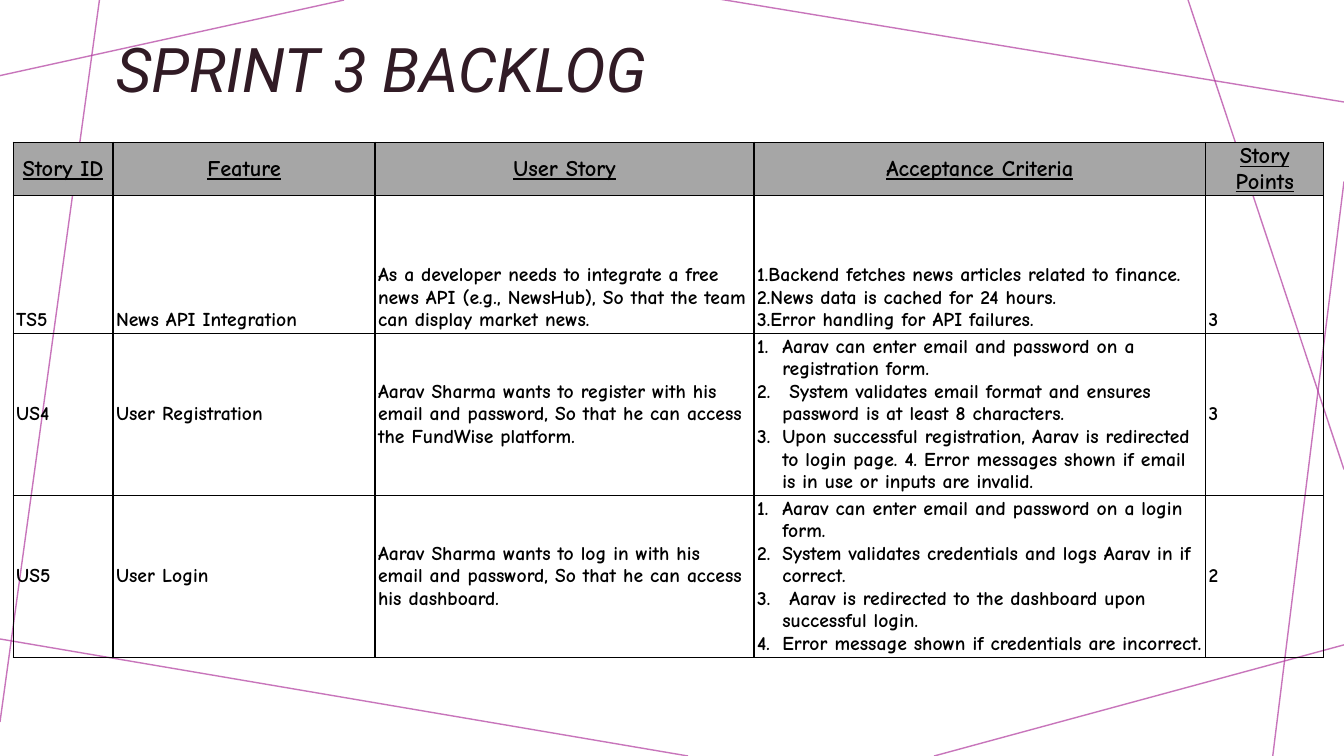
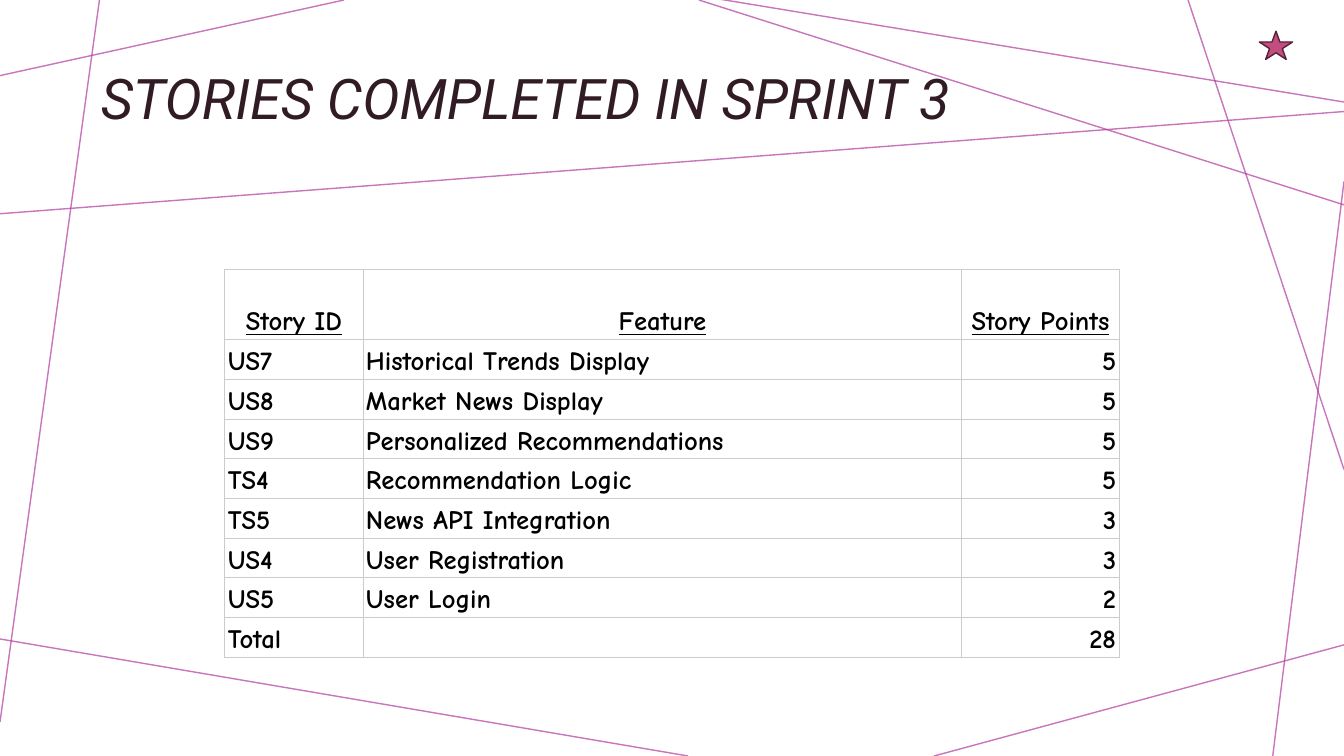
import lxml.etree
import pptx
import pptx.dml.color
import pptx.enum.shapes
import pptx.enum.text
import pptx.oxml
import pptx.oxml.ns
import pptx.util

TITLE_FONT, TABLE_FONT = "Roboto", "Comic Neue"
INK, ACCENT, BLACK = "311B25", "B13B9F", "000000"
A = "{%s}" % pptx.oxml.ns.nsuri("a")
ANCHOR = pptx.enum.text.MSO_ANCHOR
LEFT, CENTER, RIGHT = (pptx.enum.text.PP_ALIGN.LEFT, pptx.enum.text.PP_ALIGN.CENTER,
                       pptx.enum.text.PP_ALIGN.RIGHT)

deck = pptx.Presentation()
deck.slide_width = pptx.util.Inches(13.33)
deck.slide_height = pptx.util.Inches(7.5)
layout = deck.slide_layouts[5]


def share(*percents):
    """Turn alternating x and y percentages of the slide into lengths."""
    sides = (deck.slide_width, deck.slide_height)
    return [round(sides[i % 2] * percent / 100) for i, percent in enumerate(percents)]


def paint(fill, color):
    fill.solid()
    fill.fore_color.rgb = pptx.dml.color.RGBColor.from_string(color)


# Background lines as percentages: from x, from y, to x, to y
shared_lines = [
    (25.6, 0, 0, 10),
    (7.4, 0, 0, 95.5),
    (51.2, 100, -0.4, 84.4),
    (100, 85.3, 69.5, 100),
    (100, 24, 94.7, 100),
    (100, 62.1, 88.4, 0),
    (100, 13.5, 53.6, -0.1),
]
extra_lines = [(52, 0, 100, 27.1), (-0.2, 28.3, 100.4, 14.7)]

# A cell holding a list has one paragraph per item; a tuple is a numbered list
backlog_rows = [
    ["Story ID", "Feature", "User Story", "Acceptance Criteria", "Story Points"],
    ["TS5", "News API Integration",
     "As a developer needs to integrate a free news API (e.g., NewsHub), "
     "So that the team can display market news.",
     ["1.Backend fetches news articles related to finance.",
      "2.News data is cached for 24 hours.",
      "3.Error handling for API failures."], "3"],
    ["US4", "User Registration",
     "Aarav Sharma wants to register with his email and password, "
     "So that he can access the FundWise platform.",
     ("Aarav can enter email and password on a registration form.",
      " System validates email format and ensures password is at least 8 characters.",
      "Upon successful registration, Aarav is redirected to login page. "
      "4. Error messages shown if email is in use or inputs are invalid."), "3"],
    ["US5", "User Login",
     "Aarav Sharma wants to log in with his email and password, "
     "So that he can access his dashboard.",
     ("Aarav can enter email and password on a login form.",
      "System validates credentials and logs Aarav in if correct.",
      " Aarav is redirected to the dashboard upon successful login.",
      "Error message shown if credentials are incorrect."), "2"],
]
completed_rows = [
    ["Story ID", "Feature", "Story Points"],
    ["US7", "Historical Trends Display", "5"],
    ["US8", "Market News Display", "5"],
    ["US9", "Personalized Recommendations", "5"],
    ["TS4", "Recommendation Logic", "5"],
    ["TS5", "News API Integration", "3"],
    ["US4", "User Registration", "3"],
    ["US5", "User Login", "2"],
    ["Total", "", "28"],
]

# Boxes, widths and heights are percentages of the slide
slides = [
    dict(title="SPRINT 3 BACKLOG", title_box=(7.88, 3.2, 78.47, 11.47), title_size=44,
         title_anchor=ANCHOR.BOTTOM, lines=shared_lines, rows=backlog_rows,
         corner=(0.98, 18.8), widths=[7.43, 19.5, 28.2, 33.6, 8.78],
         heights=[5.73, 18.27, 20, 18.27], sizes=(16, 14), header_fill="A6A6A6",
         header_margins=(0.02, 0.01), border=(BLACK, 1), aligns=[LEFT] * 5,
         anchors=[ANCHOR.MIDDLE, ANCHOR.BOTTOM, ANCHOR.MIDDLE, ANCHOR.MIDDLE]),
    dict(title="STORIES COMPLETED IN SPRINT 3", title_box=(6.75, 6.13, 67.74, 14.67),
         title_size=40, title_anchor=ANCHOR.MIDDLE, lines=extra_lines, rows=completed_rows,
         corner=(16.73, 35.6), widths=[10.28, 44.56, 11.7],
         heights=[9.33] + [5.25] * 8, sizes=(19, 19), header_fill=None,
         header_margins=(0.03, 0.02), border=("CCCCCC", 0.75),
         aligns=[LEFT, LEFT, RIGHT], anchors=[ANCHOR.BOTTOM] * 9),
]

for content in slides:
    page = deck.slides.add_slide(layout)

    title = page.shapes.title
    title.left, title.top, title.width, title.height = share(*content["title_box"])
    frame = title.text_frame
    frame.text = content["title"]
    frame.word_wrap = True
    frame.auto_size = pptx.enum.text.MSO_AUTO_SIZE.NONE
    frame.vertical_anchor = content["title_anchor"]
    para = frame.paragraphs[0]
    para.alignment = LEFT
    para.line_spacing = 0.9
    para.font.name = TITLE_FONT
    para.font.size = pptx.util.Pt(content["title_size"])
    para.font.italic = True
    paint(para.font.fill, INK)

    for number, ends in enumerate(content["lines"]):
        line = page.shapes.add_connector(
            pptx.enum.shapes.MSO_CONNECTOR.STRAIGHT, *share(*ends))
        line.line.width = pptx.util.Pt(1)
        paint(line.line.fill, ACCENT)
        tint = line.element.spPr.find(f".//{A}srgbClr")
        lxml.etree.SubElement(tint, A + "alpha", val="70000")
        lxml.etree.SubElement(line.element.spPr, A + "effectLst")
        if content["lines"] is shared_lines:
            # Lines behind every slide belong to the layout
            line.element.nvCxnSpPr.cNvPr.set("id", str(100 + number))
            layout.shapes.element.append(line.element)

    rows, widths, heights = content["rows"], content["widths"], content["heights"]
    table = page.shapes.add_table(
        len(rows), len(widths),
        *share(*content["corner"], sum(widths), sum(heights))).table
    table.first_row = table.horz_banding = False
    for column, width in zip(table.columns, widths):
        column.width = share(width)[0]
    for row, height in zip(table.rows, heights):
        row.height = share(0, height)[1]

    border_color, border_width = content["border"]
    for r, row in enumerate(rows):
        header = r == 0
        side, edge = content["header_margins"] if header else (0.03, 0.02)
        for c, entry in enumerate(row):
            cell = table.cell(r, c)
            cell.margin_left = cell.margin_right = pptx.util.Inches(side)
            cell.margin_top = cell.margin_bottom = pptx.util.Inches(edge)
            cell.vertical_anchor = content["anchors"][r]
            for name in ("lnL", "lnR", "lnT", "lnB"):
                border = lxml.etree.SubElement(
                    cell._tc.get_or_add_tcPr(), A + name,
                    w=str(pptx.util.Pt(border_width)))
                fill = lxml.etree.SubElement(border, A + "solidFill")
                lxml.etree.SubElement(fill, A + "srgbClr", val=border_color)
            if header and content["header_fill"]:
                paint(cell.fill, content["header_fill"])
            else:
                cell.fill.background()

            items = [entry] if isinstance(entry, str) else entry
            cell.text = "\n".join(items)
            for para in cell.text_frame.paragraphs:
                para.alignment = CENTER if header else content["aligns"][c]
                if isinstance(entry, tuple):
                    numbering = para._p.get_or_add_pPr()
                    indent = pptx.util.Inches(0.25)
                    numbering.set("marL", str(indent))
                    numbering.set("indent", str(-indent))
                    lxml.etree.SubElement(numbering, A + "buAutoNum", type="arabicPeriod")
                para.font.name = TABLE_FONT
                para.font.size = pptx.util.Pt(content["sizes"][0 if header else 1])
                para.font.bold = True
                para.font.underline = header
                paint(para.font.fill, BLACK)

star = page.shapes.add_shape(
    pptx.enum.shapes.MSO_SHAPE.STAR_5_POINT, *share(93.7, 4.13, 2.48, 3.73))
star.shadow.inherit = False
paint(star.fill, "C34D7F")
paint(star.line.fill, "552238")
star.line.width = pptx.util.Pt(1)

deck.save("out.pptx")
